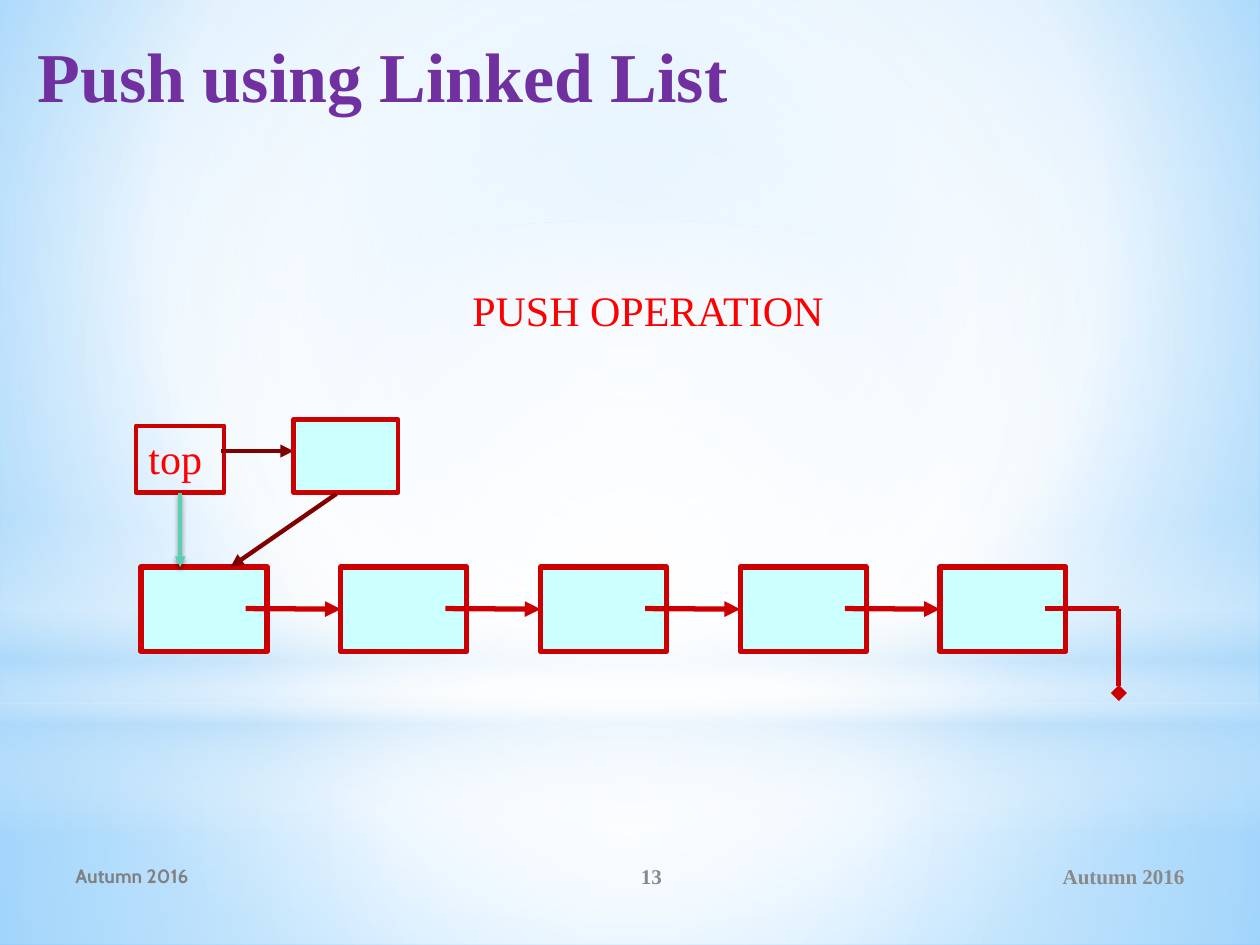
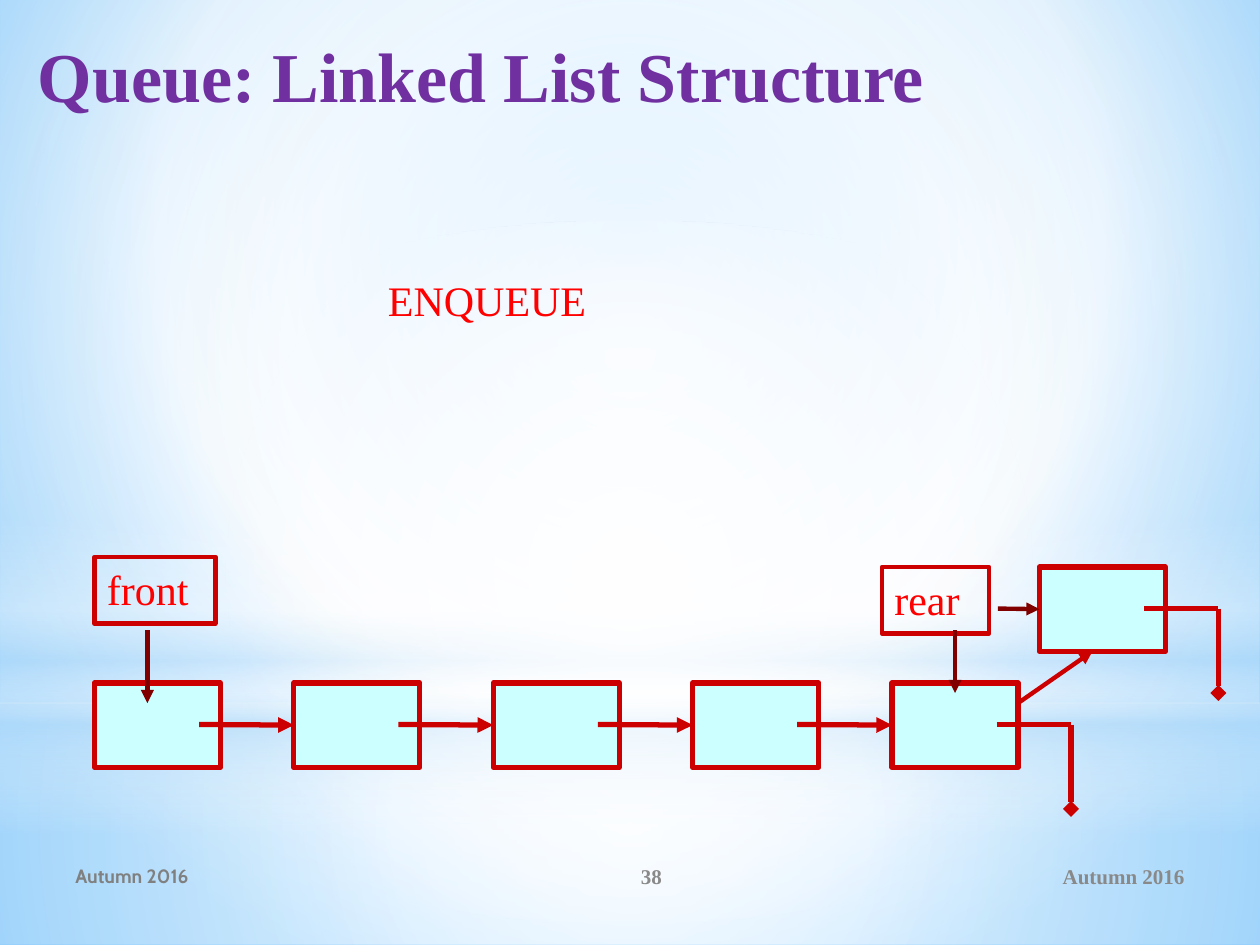
from dataclasses import dataclass
from typing import Optional

from lxml.etree import SubElement
from pptx import Presentation
from pptx.dml.color import RGBColor
from pptx.enum.shapes import MSO_CONNECTOR, MSO_SHAPE
from pptx.enum.text import MSO_ANCHOR, MSO_AUTO_SIZE, PP_ALIGN
from pptx.oxml.ns import qn
from pptx.util import Inches, Pt


@dataclass(frozen=True)
class Theme:
    serif: str = "Times New Roman"
    sans: str = "Cabin"
    title: str = "7030A0"
    text: str = "FF0000"
    node: str = "CCFFFF"
    edge: str = "CC0000"
    dark: str = "800000"
    green: str = "5DCEAF"
    grey: str = "898989"
    note: str = "808080"
    white: str = "FFFFFF"
    sky: str = "B4DCFA"
    head_size: float = 40
    text_size: float = 24
    foot_size: float = 12
    note_size: float = 11
    thick: float = 3
    thin: float = 2.5
    fine: float = 2


@dataclass(frozen=True)
class Box:
    left: float
    top: float
    width: float
    height: float

    def args(self) -> tuple:
        return tuple(map(Inches, (self.left, self.top, self.width, self.height)))


@dataclass(frozen=True)
class Stop:
    place: int
    tint: str
    alpha: int = 100


@dataclass(frozen=True)
class Blend:
    stops: tuple
    focus: Optional[tuple] = (50, 50, 50, 50)


@dataclass(frozen=True)
class Band:
    box: Box
    blend: Blend
    kind: MSO_SHAPE = MSO_SHAPE.RECTANGLE


@dataclass(frozen=True)
class Foot:
    box: Box
    text: str
    face: str
    size: float
    tint: str
    align: PP_ALIGN


@dataclass(frozen=True)
class Line:
    start: tuple
    end: tuple
    tint: str
    width: float
    head: Optional[str] = "triangle"


T = Theme()
WIDE, HIGH = 10, 7.5
NODE_W, NODE_H = 1, 0.67
LINK_X, LINK_Y = 0.83, 0.33
DROP_X, DROP_Y = 0.59, 0.67
W, S = T.white, T.sky

PAGE = Blend((Stop(0, "9ED5FF"), Stop(60, W), Stop(100, "5BB9FF")), (20, 10, 20, 60))
BANDS = (
    Band(Box(0, 5.58, WIDE, 1.92),
         Blend((Stop(0, W, 91), Stop(37, W, 76), Stop(100, S, 79)))),
    Band(Box(0, 0, WIDE, 5.58),
         Blend((Stop(0, W, 89), Stop(48, W, 62), Stop(100, S, 79)))),
    Band(Box(0, 4.12, WIDE, 2.5),
         Blend((Stop(0, W, 0), Stop(29, W, 30), Stop(45, S, 40),
                Stop(55, W, 26), Stop(65, S, 60), Stop(100, W, 0)), None)),
    Band(Box(0, 1.75, WIDE, 5.58),
         Blend((Stop(0, W), Stop(56, W, 0))), MSO_SHAPE.OVAL),
)


def rgb(tint: str) -> RGBColor:
    return RGBColor.from_string(tint)


def add_tint(host, tint: str, alpha: int) -> None:
    clr = SubElement(host, qn("a:srgbClr"), val=tint)
    if alpha < 100:
        SubElement(clr, qn("a:alpha"), val=str(alpha * 1000))


def paint(fill, host, blend: Blend) -> None:
    fill.solid()
    solid = next(host.iter(qn("a:solidFill")))
    grad = SubElement(solid.getparent(), qn("a:gradFill"), rotWithShape="1")
    solid.getparent().replace(solid, grad)
    stops = SubElement(grad, qn("a:gsLst"))
    for stop in blend.stops:
        mark = SubElement(stops, qn("a:gs"), pos=str(stop.place * 1000))
        add_tint(mark, stop.tint, stop.alpha)
    if blend.focus is None:
        SubElement(grad, qn("a:lin"), ang="5400000", scaled="0")
        return
    ring = SubElement(grad, qn("a:path"))
    ring.set("path", "circle")
    sides = {k: str(v * 1000) for k, v in zip("ltrb", blend.focus)}
    SubElement(ring, qn("a:fillToRect"), sides)


def style(frame, face: str, size: float, tint: str, bold: bool = False) -> None:
    for run in frame.paragraphs[0].runs:
        font = run.font
        font.name, font.size, font.bold = face, Pt(size), bold
        font.color.rgb = rgb(tint)


def dress(layout, slide) -> None:
    paint(layout.background.fill, layout.element, PAGE)
    for spot, band in enumerate(BANDS, 2):
        shape = slide.shapes.add_shape(band.kind, *band.box.args())
        shape.shadow.inherit = False
        paint(shape.fill, shape.element.spPr, band.blend)
        shape.line.fill.background()
        layout.shapes.element.insert(spot, shape.element)


def set_title(slide, text: str) -> None:
    title = slide.shapes.title
    title.left, title.top, title.width, title.height = Box(0.2, 0.21, 9.53, 1.25).args()
    frame = title.text_frame
    frame.text = text
    frame.auto_size = MSO_AUTO_SIZE.NONE
    frame.vertical_anchor = MSO_ANCHOR.TOP
    frame.paragraphs[0].alignment = PP_ALIGN.LEFT
    style(frame, T.serif, T.head_size, T.title, True)


def add_feet(slide, page: str) -> None:
    term = "Autumn 2016"
    for foot in (
        Foot(Box(6.75, 6.75, 2.75, 0.4), term, T.serif, T.foot_size, T.grey, PP_ALIGN.RIGHT),
        Foot(Box(0.5, 6.75, 3.67, 0.4), term, T.sans, T.note_size, T.note, PP_ALIGN.LEFT),
        Foot(Box(4.17, 6.75, 2, 0.4), page, T.serif, T.foot_size, T.grey, PP_ALIGN.CENTER),
    ):
        frame = slide.shapes.add_textbox(*foot.box.args()).text_frame
        frame.text = foot.text
        frame.word_wrap = True
        frame.vertical_anchor = MSO_ANCHOR.MIDDLE
        frame.paragraphs[0].alignment = foot.align
        style(frame, foot.face, foot.size, foot.tint, True)


def add_label(slide, box: Box, text: str, framed: bool = False):
    label = slide.shapes.add_textbox(*box.args())
    frame = label.text_frame
    frame.text = text
    frame.word_wrap = False
    frame.auto_size = MSO_AUTO_SIZE.SHAPE_TO_FIT_TEXT
    style(frame, T.serif, T.text_size, T.text)
    if framed:
        label.line.color.rgb = rgb(T.edge)
        label.line.width = Pt(T.thin)
    return label


def add_node(slide, box: Box, width: float = T.thick):
    node = slide.shapes.add_shape(MSO_SHAPE.RECTANGLE, *box.args())
    node.shadow.inherit = False
    node.fill.solid()
    node.fill.fore_color.rgb = rgb(T.node)
    node.line.color.rgb = rgb(T.edge)
    node.line.width = Pt(width)
    return node


def add_line(slide, line: Line):
    ends = map(Inches, line.start + line.end)
    wire = slide.shapes.add_connector(MSO_CONNECTOR.STRAIGHT, *ends)
    wire.line.color.rgb = rgb(line.tint)
    wire.line.width = Pt(line.width)
    props = wire.element.spPr
    if line.head:
        SubElement(props.find(qn("a:ln")), qn("a:tailEnd"), type=line.head)
    SubElement(props, qn("a:effectLst"))
    return wire


def add_shade(wire) -> None:
    glow = wire.element.spPr.find(qn("a:effectLst"))
    shade = SubElement(glow, qn("a:outerShdw"), blurRad=str(Pt(3.1)),
                       dist=str(Pt(1.8)), dir="5400000", rotWithShape="0")
    add_tint(shade, "000000", 45)


def add_drop(slide, left: float, top: float) -> None:
    start = (left + LINK_X, top + LINK_Y)
    bend = (start[0] + DROP_X, start[1])
    foot = (bend[0], bend[1] + DROP_Y)
    add_line(slide, Line(start, bend, T.edge, T.thick, None))
    add_line(slide, Line(bend, foot, T.edge, T.thick, "diamond"))


def add_chain(slide, first: float, last: float, top: float, count: int = 5) -> None:
    step = (last - first) / (count - 1)
    lefts = [first + i * step for i in range(count)]
    nodes = [add_node(slide, Box(x, top, NODE_W, NODE_H)) for x in lefts]
    for left, goal, node in zip(lefts, lefts[1:], nodes[1:]):
        mid = top + LINK_Y
        link = Line((left + LINK_X, mid), (goal, mid), T.edge, T.thick)
        add_line(slide, link).end_connect(node, 1)
    add_drop(slide, last, top)


def draw_push(slide) -> None:
    add_chain(slide, 1.12, 7.46, 4.5)
    top = add_label(slide, Box(1.08, 3.38, 0.7, 0.53), "top", True)
    old = add_line(slide, Line((1.43, 3.91), (1.43, 4.5), T.green, T.fine))
    old.begin_connect(top, 2)
    add_shade(old)
    add_line(slide, Line((1.75, 3.58), (2.33, 3.58), T.dark, T.thin))
    add_node(slide, Box(2.33, 3.33, 0.83, 0.58), T.thin)
    add_line(slide, Line((2.67, 3.92), (1.83, 4.5), T.dark, T.thin))
    add_label(slide, Box(3.65, 2.21, 3.19, 0.5), "PUSH OPERATION")


def draw_queue(slide) -> None:
    add_chain(slide, 0.75, 7.08, 5.42)
    add_label(slide, Box(0.75, 4.42, 0.96, 0.53), "front", True)
    add_label(slide, Box(7, 4.5, 0.85, 0.53), "rear", True)
    add_line(slide, Line((1.17, 5), (1.17, 5.58), T.dark, T.thin))
    add_line(slide, Line((7.58, 5), (7.58, 5.5), T.dark, T.thin))
    fresh = add_node(slide, Box(8.25, 4.5, NODE_W, NODE_H))
    add_drop(slide, 8.25, 4.5)
    add_line(slide, Line((8.08, 5.58), (8.67, 5.17), T.edge, T.thin))
    add_line(slide, Line((7.92, 4.83), (8.25, 4.83), T.dark, T.thin)).end_connect(fresh, 1)
    add_label(slide, Box(2.98, 2.13, 1.85, 0.5), "ENQUEUE")


def main() -> None:
    deck = Presentation()
    deck.slide_width, deck.slide_height = Inches(WIDE), Inches(HIGH)
    layout = deck.slide_layouts[5]
    pages = (
        ("Push using Linked List", "13", draw_push),
        ("Queue: Linked List Structure", "38", draw_queue),
    )
    for title, page, draw in pages:
        slide = deck.slides.add_slide(layout)
        set_title(slide, title)
        add_feet(slide, page)
        draw(slide)
    dress(layout, deck.slides[0])
    deck.save("out.pptx")


if __name__ == "__main__":
    main()
